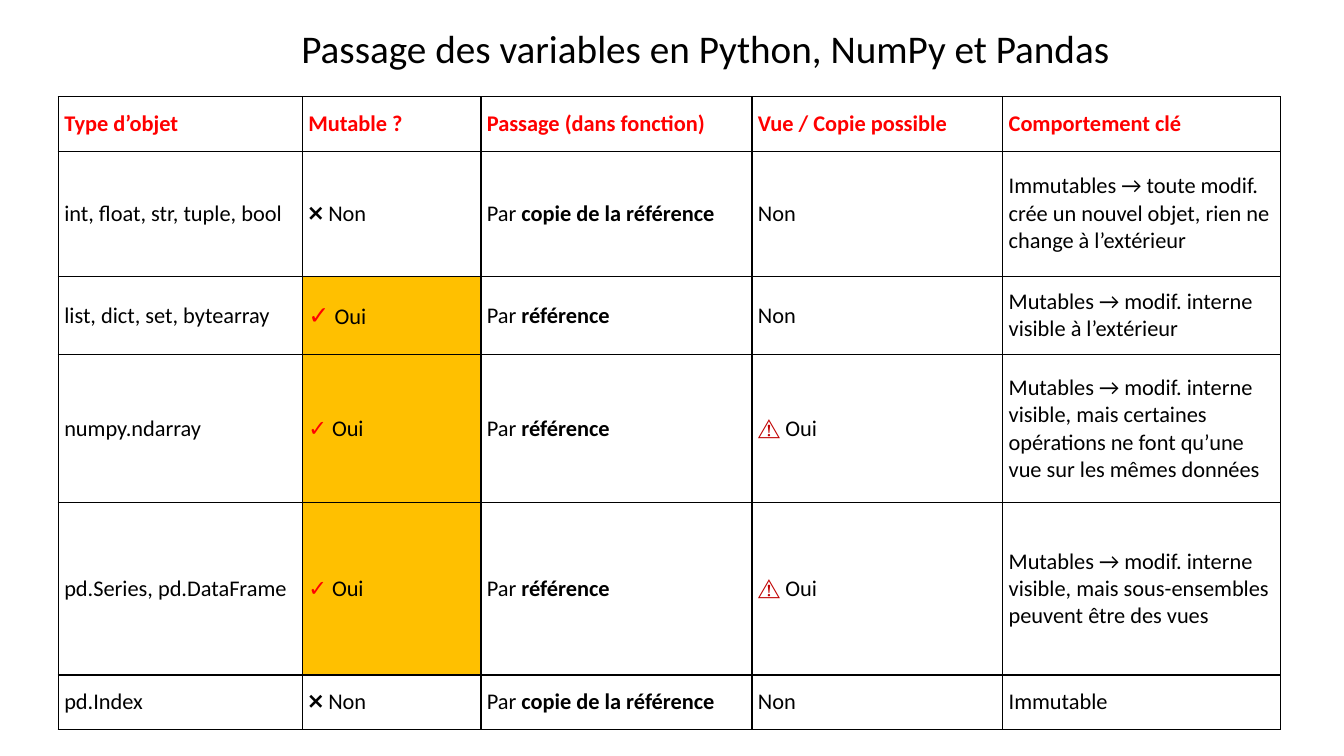
import pptx
import pptx.dml.color
import pptx.enum.text
import pptx.oxml
import pptx.oxml.ns
import pptx.util

Cm = pptx.util.Cm
Pt = pptx.util.Pt
RGBColor = pptx.dml.color.RGBColor

BLACK = RGBColor(0x00, 0x00, 0x00)
RED = RGBColor(0xFF, 0x00, 0x00)
DARK_RED = RGBColor(0xC0, 0x00, 0x00)
AMBER = RGBColor(0xFF, 0xC0, 0x00)
FONT = "Calibri"

COLUMN_WIDTHS = [6.15, 4.5, 6.83, 6.32, 6.99]
ROW_HEIGHTS = [1.37, 3.15, 1.98, 3.73, 4.34, 1.37]
HEADINGS = ["Type d’objet", "Mutable ?", "Passage (dans fonction)",
            "Vue / Copie possible", "Comportement clé"]


def plain(text):
    return [(text, BLACK, False, 16)]


def passing(mode):
    return plain("Par ") + [(mode, BLACK, True, 16)]


BY_COPY = passing("copie de la référence")
BY_REFERENCE = passing("référence")
IMMUTABLE = plain("❌ Non")
MUTABLE = [("✓ ", RED, True, 16)] + plain("Oui")
MUTABLE_LARGE = [("✓", RED, True, 18)] + plain(" Oui")
NO_VIEW = plain("Non")
VIEW = [("⚠", DARK_RED, False, 16)] + plain(" Oui")

ROWS = [
    [[(heading, RED, True, 16)] for heading in HEADINGS],
    [plain("int, float, str, tuple, bool"), IMMUTABLE, BY_COPY, NO_VIEW,
     plain("Immutables → toute modif. crée un nouvel objet, "
           "rien ne change à l’extérieur")],
    [plain("list, dict, set, bytearray"), MUTABLE_LARGE, BY_REFERENCE, NO_VIEW,
     plain("Mutables → modif. interne visible à l’extérieur")],
    [plain("numpy.ndarray"), MUTABLE, BY_REFERENCE, VIEW,
     plain("Mutables → modif. interne visible, mais certaines opérations "
           "ne font qu’une vue sur les mêmes données")],
    [plain("pd.Series, pd.DataFrame"), MUTABLE, BY_REFERENCE, VIEW,
     plain("Mutables → modif. interne visible, mais sous-ensembles "
           "peuvent être des vues")],
    [plain("pd.Index"), IMMUTABLE, BY_COPY, NO_VIEW, plain("Immutable")],
]


def add_span(para, text, color, bold, size):
    span = para.add_run()
    span.text = text
    span.font.name = FONT
    span.font.size = Pt(size)
    span.font.bold = bold
    span.font.color.rgb = color


def add_borders(cell):
    properties = cell._tc.get_or_add_tcPr()
    for side in ("lnL", "lnR", "lnT", "lnB"):
        properties.append(pptx.oxml.parse_xml(
            f'<a:{side} {pptx.oxml.ns.nsdecls("a")} w="{Pt(1)}">'
            f'<a:solidFill><a:srgbClr val="{BLACK}"/></a:solidFill></a:{side}>'))


def format_cell(cell, spans):
    cell.vertical_anchor = pptx.enum.text.MSO_ANCHOR.MIDDLE
    cell.margin_left = cell.margin_right = Cm(0.15)
    cell.margin_top = cell.margin_bottom = Cm(0.08)
    add_borders(cell)
    if spans in (MUTABLE, MUTABLE_LARGE):
        cell.fill.solid()
        cell.fill.fore_color.rgb = AMBER
    else:
        cell.fill.background()
    for span in spans:
        add_span(cell.text_frame.paragraphs[0], *span)


def place_title(page, left, top, width, height):
    title = page.shapes.title
    title.left, title.top, title.width, title.height = left, top, width, height
    frame = title.text_frame
    frame.word_wrap = False
    frame.auto_size = pptx.enum.text.MSO_AUTO_SIZE.NONE
    frame.vertical_anchor = pptx.enum.text.MSO_ANCHOR.TOP
    para = frame.paragraphs[0]
    para.alignment = pptx.enum.text.PP_ALIGN.LEFT
    add_span(para, "Passage des variables en Python, NumPy et Pandas",
             BLACK, False, 28)


def place_table(page, left, top, width, height):
    table = page.shapes.add_table(len(ROWS), len(HEADINGS),
                                  left, top, width, height).table
    table.first_row = False
    table.horz_banding = False
    for column, column_width in zip(table.columns, COLUMN_WIDTHS):
        column.width = Cm(column_width)
    for row, row_height, contents in zip(table.rows, ROW_HEIGHTS, ROWS):
        row.height = Cm(row_height)
        for cell, spans in zip(row.cells, contents):
            format_cell(cell, spans)


def main():
    deck = pptx.Presentation()
    deck.slide_width, deck.slide_height = Cm(33.87), Cm(19.05)
    page = deck.slides.add_slide(deck.slide_layouts[5])
    place_title(page, Cm(7.34), Cm(0.48), Cm(21.13), Cm(1.45))
    place_table(page, Cm(1.47), Cm(2.44),
                Cm(sum(COLUMN_WIDTHS)), Cm(sum(ROW_HEIGHTS)))
    deck.save("out.pptx")


if __name__ == "__main__":
    main()
